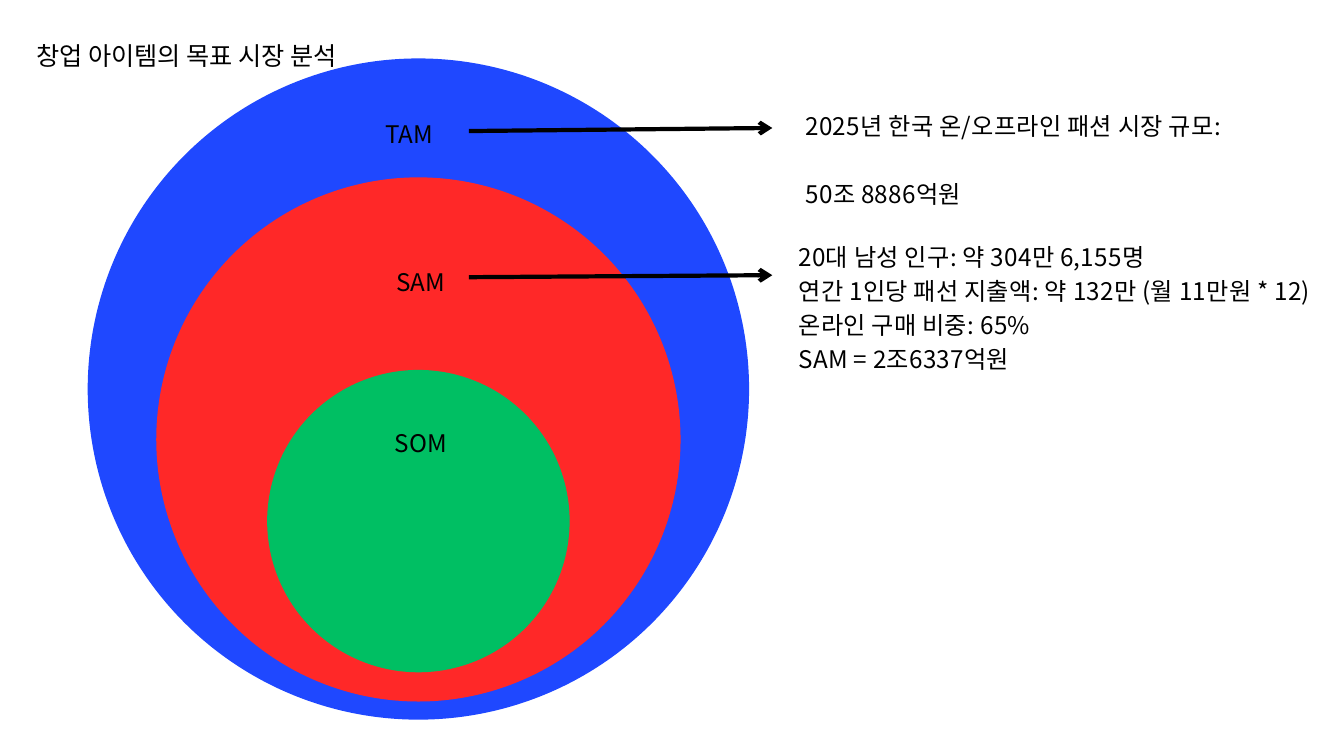
"""Builds the TAM, SAM and SOM target market slide."""
from dataclasses import dataclass
from typing import Optional

from lxml.etree import SubElement
from pptx import Presentation
from pptx.dml.color import RGBColor
from pptx.enum.shapes import MSO_CONNECTOR as CONN, MSO_SHAPE as SHAPE
from pptx.enum.text import MSO_ANCHOR as ANCHOR, MSO_AUTO_SIZE as AUTO, PP_ALIGN as ALIGN
from pptx.oxml.ns import qn
from pptx.util import Inches, Pt

FONT = "Noto Sans CJK KR"
BLACK = "000000"
CENTER_X = 4.15
ARROW_X1, ARROW_X2 = 4.65, 7.66


@dataclass
class Market:
    name: str
    top: float
    diameter: float
    color: str
    label_x: float
    label_y: float
    label_w: float


@dataclass
class Note:
    lines: list[str]
    left: float
    top: float
    width: float
    height: float
    arrow_y1: float
    arrow_y2: float
    gap: float = 0


MARKETS = [
    Market("TAM", 0.58, 6.56, "1F48FF", 3.8, 1.13, 0.52),
    Market("SAM", 1.76, 5.2, "FF2828", 3.78, 2.6, 0.79),
    Market("SOM", 3.67, 3, "00BF63", 3.7, 4.2, 0.95),
]
NOTES = [
    Note(["20대 남성 인구: 약 304만 6,155명",
          "연간 1인당 패선 지출액: 약 132만 (월 11만원 * 12)",
          "온라인 구매 비중: 65%",
          "SAM = 2조6337억원"], 7.92, 2.35, 5.18, 1.64, 2.75, 2.73),
    Note(["2025년 한국 온/오프라인 패션 시장 규모:",
          "50조 8886억원"], 7.99, 1.06, 4.31, 0.97, 1.3, 1.27, gap=24.3),
]


def rgb(color: str) -> RGBColor:
    return RGBColor.from_string(color)


def write(tf, lines: list[str], *, size: float = 17.3, align=ALIGN.LEFT, inset: bool = False,
          leading: Optional[float] = 24.3, spacing: float = 0.2, gap: float = 0) -> None:
    tf.word_wrap = True
    tf.auto_size = AUTO.NONE
    tf.vertical_anchor = ANCHOR.TOP
    if not inset:
        tf.margin_left = tf.margin_right = tf.margin_top = tf.margin_bottom = 0
    for i, line in enumerate(lines):
        p = tf.add_paragraph() if i else tf.paragraphs[0]
        p.alignment = align
        p.space_before = Pt(gap if i else 0)
        if leading:
            p.line_spacing = Pt(leading)
        r = p.add_run()
        r.text = line
        r.font.size = Pt(size)
        r.font.name = FONT
        r.font.color.rgb = rgb(BLACK)
        rPr = r.font._element
        rPr.set("spc", str(round(spacing * 100)))
        SubElement(rPr, qn("a:ea")).set("typeface", FONT)


def add_circle(s, market: Market) -> None:
    d = Inches(market.diameter)
    sp = s.shapes.add_shape(SHAPE.OVAL, Inches(CENTER_X - market.diameter / 2),
                            Inches(market.top), d, d)
    sp.shadow.inherit = False
    sp.fill.solid()
    sp.fill.fore_color.rgb = rgb(market.color)
    sp.line.fill.background()


def add_label(s, market: Market) -> None:
    box = s.shapes.add_textbox(Inches(market.label_x), Inches(market.label_y),
                               Inches(market.label_w), Inches(0.29))
    write(box.text_frame, [market.name], align=ALIGN.CENTER)


def add_note(s, note: Note) -> None:
    arrow = s.shapes.add_connector(CONN.STRAIGHT, Inches(ARROW_X1), Inches(note.arrow_y1),
                                   Inches(ARROW_X2), Inches(note.arrow_y2))
    arrow.line.color.rgb = rgb(BLACK)
    arrow.line.width = Pt(3)
    SubElement(arrow.line._get_or_add_ln(), qn("a:tailEnd")).set("type", "arrow")
    SubElement(arrow._element.spPr, qn("a:effectLst"))
    box = s.shapes.add_textbox(Inches(note.left), Inches(note.top),
                               Inches(note.width), Inches(note.height))
    write(box.text_frame, note.lines, gap=note.gap)


def add_title(s, text: str) -> None:
    title = s.shapes.title
    title.left, title.top = Inches(0.26), Inches(0.35)
    title.width, title.height = Inches(4.97), Inches(0.4)
    write(title.text_frame, [text], size=18, inset=True, leading=None, spacing=0)


def main() -> None:
    prs = Presentation()
    prs.slide_width, prs.slide_height = Inches(13.33), Inches(7.5)
    s = prs.slides.add_slide(prs.slide_layouts[5])
    add_title(s, "창업 아이템의 목표 시장 분석")
    for market in MARKETS:
        add_circle(s, market)
    for market in MARKETS:
        add_label(s, market)
    for note in NOTES:
        add_note(s, note)
    tree = s.shapes._spTree
    tree.append(s.shapes.title._element)
    prs.save("out.pptx")


if __name__ == "__main__":
    main()
